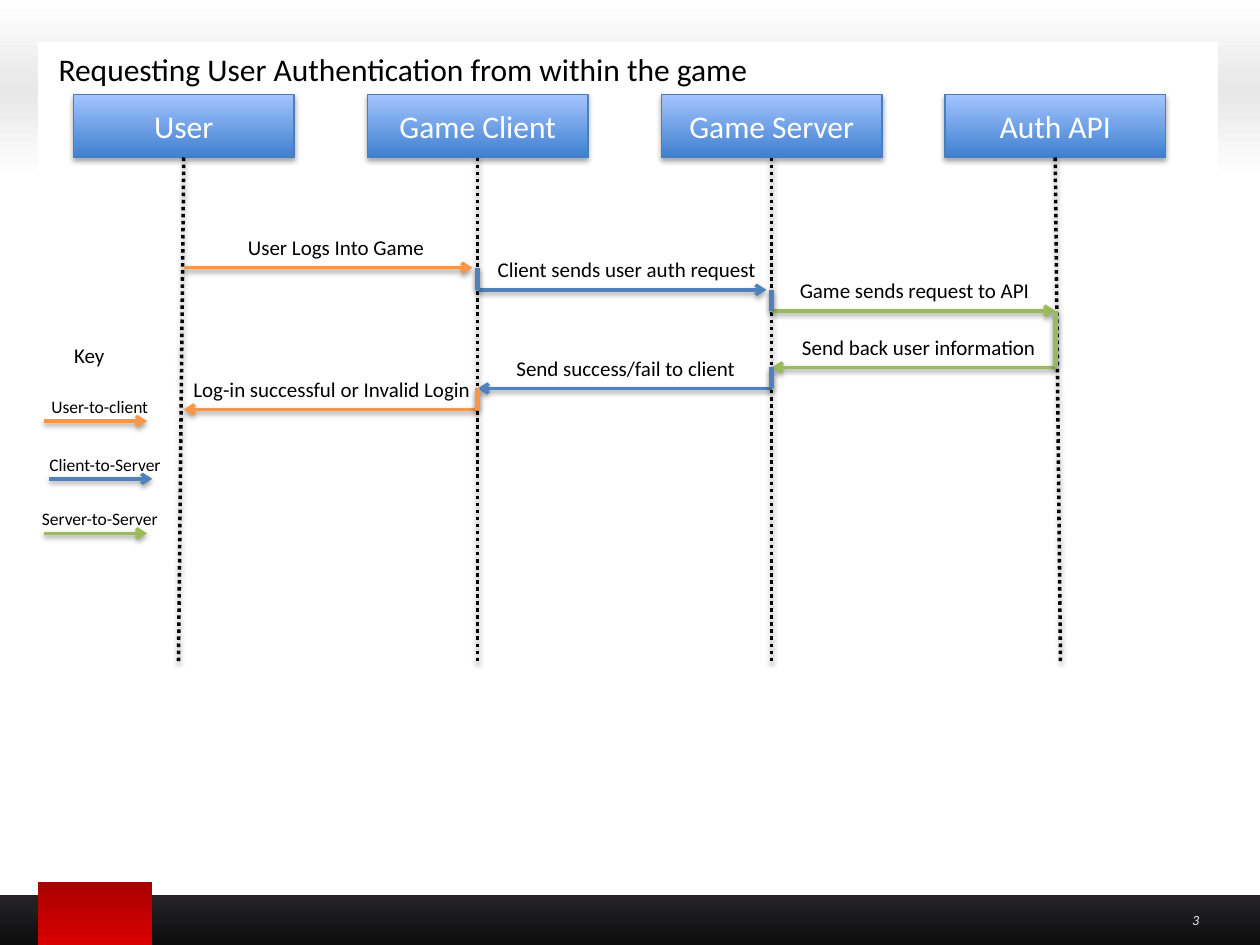
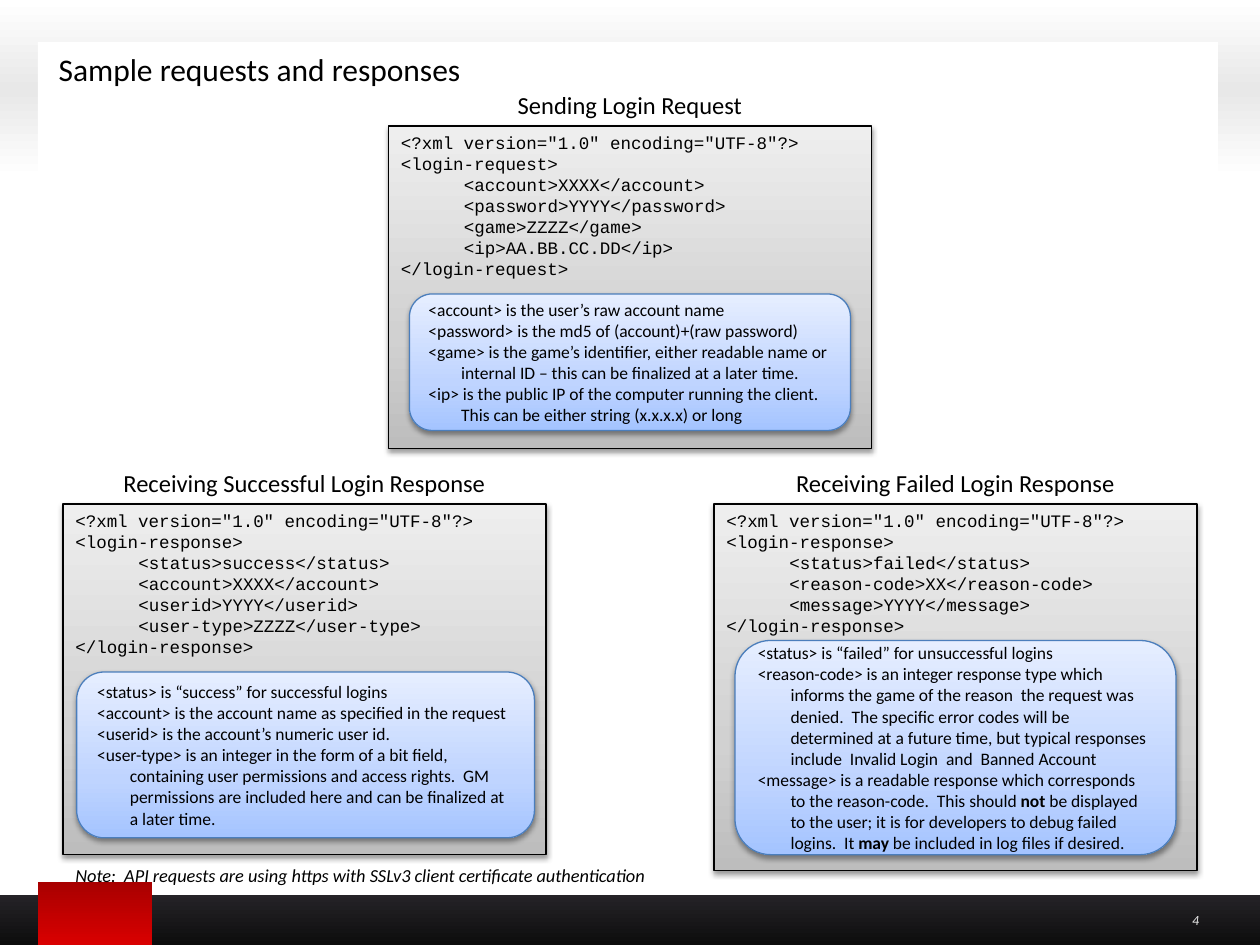
from dataclasses import dataclass

from lxml import etree
from pptx import Presentation
from pptx.dml.color import RGBColor
from pptx.enum.dml import MSO_LINE
from pptx.enum.shapes import MSO_CONNECTOR, MSO_SHAPE
from pptx.enum.text import MSO_ANCHOR, MSO_AUTO_SIZE, PP_ALIGN
from pptx.oxml.ns import qn
from pptx.util import Inches, Pt

RECT, ROUND = MSO_SHAPE.RECTANGLE, MSO_SHAPE.ROUNDED_RECTANGLE
STRAIGHT = MSO_CONNECTOR.STRAIGHT
DOTTED = MSO_LINE.ROUND_DOT
LEFT, CENTER, RIGHT = PP_ALIGN.LEFT, PP_ALIGN.CENTER, PP_ALIGN.RIGHT
TOP, MIDDLE = MSO_ANCHOR.TOP, MSO_ANCHOR.MIDDLE
FIT, FIXED = MSO_AUTO_SIZE.SHAPE_TO_FIT_TEXT, MSO_AUTO_SIZE.NONE
COLS, ROWS = 120, 90


@dataclass(frozen=True)
class Theme:
    """Colours, gradients (top to bottom), fonts and type sizes."""
    font: str = "Calibri"
    mono: str = "Courier New"
    black: str = "000000"
    white: str = "FFFFFF"
    pale: str = "E8E8E8"
    edge: str = "4B7EBC"
    orange: str = "F79646"
    blue: str = "4F81BD"
    green: str = "9BBB59"
    sky: tuple = ((0, "FFFFFF"), (50, "E8E8E8"), (100, "FFFFFF"))
    footer: tuple = ((0, "252327"), (100, "0D0D0D"))
    tab: tuple = ((0, "A80000"), (100, "D90000"))
    actor: tuple = ((0, "A4C4FF"), (100, "3F80CE"))
    code: tuple = ((0, "EEEEEE"), (65, "D1D1D1"), (100, "BDBDBD"))
    callout: tuple = ((0, "E6EEFF"), (65, "BFD4FF"), (100, "A4C4FF"))
    title: float = 18
    heading: float = 14
    label: float = 12
    note: float = 10.5
    small: float = 10
    number: float = 8
    hang: float = 0.26


class Deck:
    """Draws styled elements on the current slide, placed by grid cells."""

    def __init__(self, theme):
        """Start an empty 4:3 presentation."""
        self.t = theme
        self.prs = Presentation()
        self.prs.slide_width, self.prs.slide_height = Inches(10), Inches(7.5)
        self.s = None

    def cells(self, x, y):
        """Turn a column and a row into lengths."""
        return (round(self.prs.slide_width * x / COLS),
                round(self.prs.slide_height * y / ROWS))

    def slide(self, title, number):
        """Add a slide with the shared bands, title and page number."""
        t = self.t
        self.s = self.prs.slides.add_slide(self.prs.slide_layouts[6])
        self.shape((0, 0, 120, 17), t.sky)
        self.shape((3.6, 4, 112.4, 20), t.white)
        self.shape((0, 85.2, 120, 4.8), t.footer)
        self.shape((3.6, 84, 10.9, 6), t.tab)
        tf = self.text((106.4, 85.2, 9, 4.8), str(number), t.number, RIGHT,
                       color=t.pale, italic=True)
        tf.auto_size = FIXED
        tf.vertical_anchor = MIDDLE
        tf.margin_left = tf.margin_top = tf.margin_bottom = 0
        self.text((4.4, 4.2, 69, 4.8), title, t.title)

    def shadow(self, effects, alpha=38, dist=1.6):
        """Add a soft shadow falling downwards."""
        shade = etree.SubElement(effects, qn("a:outerShdw"), blurRad=str(Pt(3.1)),
                                 dist=str(Pt(dist)), dir="5400000", rotWithShape="0")
        clr = etree.SubElement(shade, qn("a:srgbClr"), val=self.t.black)
        etree.SubElement(clr, qn("a:alpha"), val=str(alpha * 1000))

    def shape(self, box, fill, line=None, kind=RECT, **shadow):
        """Add a shape with a plain or gradient fill; outlined ones cast a shadow."""
        sp = self.s.shapes.add_shape(kind, *self.cells(*box[:2]), *self.cells(*box[2:]))
        sp.shadow.inherit = False
        if isinstance(fill, str):
            sp.fill.solid()
            sp.fill.fore_color.rgb = RGBColor.from_string(fill)
        else:
            sp.fill.gradient()
            sp.fill.gradient_angle = 270
            stops = sp.element.spPr.find(".//" + qn("a:gsLst"))
            stops.clear()
            for pos, color in fill:
                gs = etree.SubElement(stops, qn("a:gs"), pos=str(pos * 1000))
                etree.SubElement(gs, qn("a:srgbClr"), val=color)
        if line:
            sp.line.color.rgb = RGBColor.from_string(line)
            sp.line.width = Pt(0.75)
            self.shadow(sp.element.spPr.find(qn("a:effectLst")), **shadow)
        else:
            sp.line.fill.background()
        return sp

    def fill_text(self, tf, lines, size, align=LEFT, color=None, font=None,
                  italic=False, hang=0):
        """Fill a text frame; parts between asterisks are bold."""
        tf.word_wrap = True
        for i, line in enumerate(lines):
            p = tf.paragraphs[0] if i == 0 else tf.add_paragraph()
            p.alignment = align
            if hang:
                pPr = p._p.get_or_add_pPr()
                pPr.set("marL", str(Inches(hang)))
                pPr.set("indent", str(-Inches(hang)))
            for j, part in enumerate(line.split("*")):
                r = p.add_run()
                r.text = part
                r.font.size, r.font.name = Pt(size), font or self.t.font
                r.font.bold, r.font.italic = j % 2 == 1, italic
                r.font.color.rgb = RGBColor.from_string(color or self.t.black)

    def text(self, box, text, size, align=LEFT, **style):
        """Add a one-paragraph text box."""
        tb = self.s.shapes.add_textbox(*self.cells(*box[:2]), *self.cells(*box[2:]))
        tf = tb.text_frame
        self.fill_text(tf, [text], size, align, **style)
        tf.auto_size = FIT
        return tf

    def line(self, start, end, color, width=2, arrow=False, dash=None):
        """Add a shadowed straight line, with an arrowhead or dashes on request."""
        c = self.s.shapes.add_connector(STRAIGHT, *self.cells(*start), *self.cells(*end))
        c.line.color.rgb = RGBColor.from_string(color)
        c.line.width = Pt(width)
        if dash:
            c.line.dash_style = dash
        spPr = c.element.spPr
        if arrow:
            etree.SubElement(spPr.find(qn("a:ln")), qn("a:tailEnd"), type="arrow")
        self.shadow(etree.SubElement(spPr, qn("a:effectLst")))

    def actor(self, left, name):
        """Add the head of a lifeline."""
        sp = self.shape((left, 9, 21, 6), self.t.actor, self.t.edge, alpha=35, dist=1.8)
        self.fill_text(sp.text_frame, [name], self.t.title, CENTER, self.t.white)

    def sample(self, panel, heading, code, callout, notes):
        """Add a headed code panel with a callout that explains its tags."""
        t = self.t
        left, top, width, _ = panel
        sp = self.shape(panel, t.code, t.black)
        sp.text_frame.vertical_anchor = TOP
        declaration = '<?xml version="1.0" encoding="UTF-8"?>'
        self.fill_text(sp.text_frame, [declaration, *code], t.small, font=t.mono)
        self.text((left, top - 4, width, 4.1), heading, t.heading, CENTER)
        sp = self.shape(callout, t.callout, t.edge, ROUND)
        sp.text_frame.vertical_anchor = MIDDLE
        self.fill_text(sp.text_frame, notes, t.small, hang=t.hang)


def sequence_slide(deck):
    """Draw the authentication sequence diagram."""
    t = deck.t
    deck.slide("Requesting User Authentication from within the game", 3)
    actors = [(7, "User", 17), (35, "Game Client", 45.5),
              (63, "Game Server", 73.5), (90, "Auth API", 101)]
    lifelines = [left + 10.5 for left, _, _ in actors]
    for x, (left, name, foot) in zip(lifelines, actors):
        deck.actor(left, name)
        deck.line((x, 15), (foot, 63), t.black, dash=DOTTED)

    messages = [
        (0, 1, 25.5, t.orange, "User Logs Into Game", 15, 34),
        (1, 2, 27.6, t.blue, "Client sends user auth request", 44.2, 31),
        (2, 3, 29.6, t.green, "Game sends request to API", 73.1, 28),
        (3, 2, 35, t.green, "Send back user information", 72, 31),
        (2, 1, 37, t.blue, "Send success/fail to client", 45.6, 28),
        (1, 0, 39, t.orange, "Log-in successful or Invalid Login", 15, 33.2),
    ]
    for source, target, row, color, label, left, width in messages:
        gap = 0.5 if row < 29 else 0
        deck.line((lifelines[source], row), (lifelines[target] - gap, row), color, arrow=True)
        deck.text((left, row - 3.75, width, 3.6), label, t.label, CENTER)
    bars = [t.blue, t.blue, t.green, t.blue, t.orange]
    for color, now, then in zip(bars, messages, messages[1:]):
        x = lifelines[now[1]]
        deck.line((x, now[2]), (x, then[2]), color, width=3)

    deck.text((4, 32, 9, 3.6), "Key", t.label, CENTER)
    for left, row, color, label in [(2, 40.1, t.orange, "User-to-client"),
                                    (2.5, 45.6, t.blue, "Client-to-Server"),
                                    (2, 50.8, t.green, "Server-to-Server")]:
        deck.line((left + 2.2, row), (left + 12, row), color, arrow=True)
        deck.text((left, row - 3, 15, 3.2), label, t.small, CENTER)


def samples_slide(deck):
    """Show the request and both responses."""
    deck.slide("Sample requests and responses", 4)
    deck.sample(
        (37, 12, 46, 30.7), "Sending Login Request",
        ["<login-request>", "\t<account>XXXX</account>",
         "\t<password>YYYY</password>", "\t<game>ZZZZ</game>",
         "\t<ip>AA.BB.CC.DD</ip>", "</login-request>"],
        (39, 28, 42, 13),
        ["<account> is the user’s raw account name",
         "<password> is the md5 of (account)+(raw password)",
         "<game> is the game’s identifier, either readable name or internal ID – "
         "this can be finalized at a later time.",
         "<ip> is the public IP of the computer running the client.  "
         "This can be either string (x.x.x.x) or long"])
    deck.sample(
        (6, 48, 46, 33.4), "Receiving Successful Login Response",
        ["<login-response>", "\t<status>success</status>",
         "\t<account>XXXX</account>", "\t<userid>YYYY</userid>",
         "\t<user-type>ZZZZ</user-type>", "</login-response>"],
        (7.3, 64, 43.6, 15.8),
        ["<status> is “success” for successful logins",
         "<account> is the account name as specified in the request",
         "<userid> is the account’s numeric user id.",
         "<user-type> is an integer in the form of a bit field, containing user "
         "permissions and access rights.  GM permissions are included here and "
         "can be finalized at a later time."])
    deck.sample(
        (68, 48, 46, 34.9), "Receiving Failed Login Response",
        ["<login-response>", "\t<status>failed</status>",
         "\t<reason-code>XX</reason-code>", "\t<message>YYYY</message>",
         "</login-response>"],
        (70, 61, 42, 20.4),
        ["<status> is “failed” for unsuccessful logins",
         "<reason-code> is an integer response type which  informs the game of the "
         "reason  the request was denied.  The specific error codes will be "
         "determined at a future time, but typical responses include  Invalid "
         "Login  and  Banned Account",
         "<message> is a readable response which corresponds to the reason-code.  "
         "This should *not* be displayed to the user; it is for developers to debug "
         "failed logins.  It *may* be included in log files if desired."])
    deck.text((6, 81.7, 82, 3.3),
              "Note:  API requests are using https with SSLv3 client certificate "
              "authentication", deck.t.note, italic=True)


deck = Deck(Theme())
sequence_slide(deck)
samples_slide(deck)
deck.prs.save("out.pptx")
